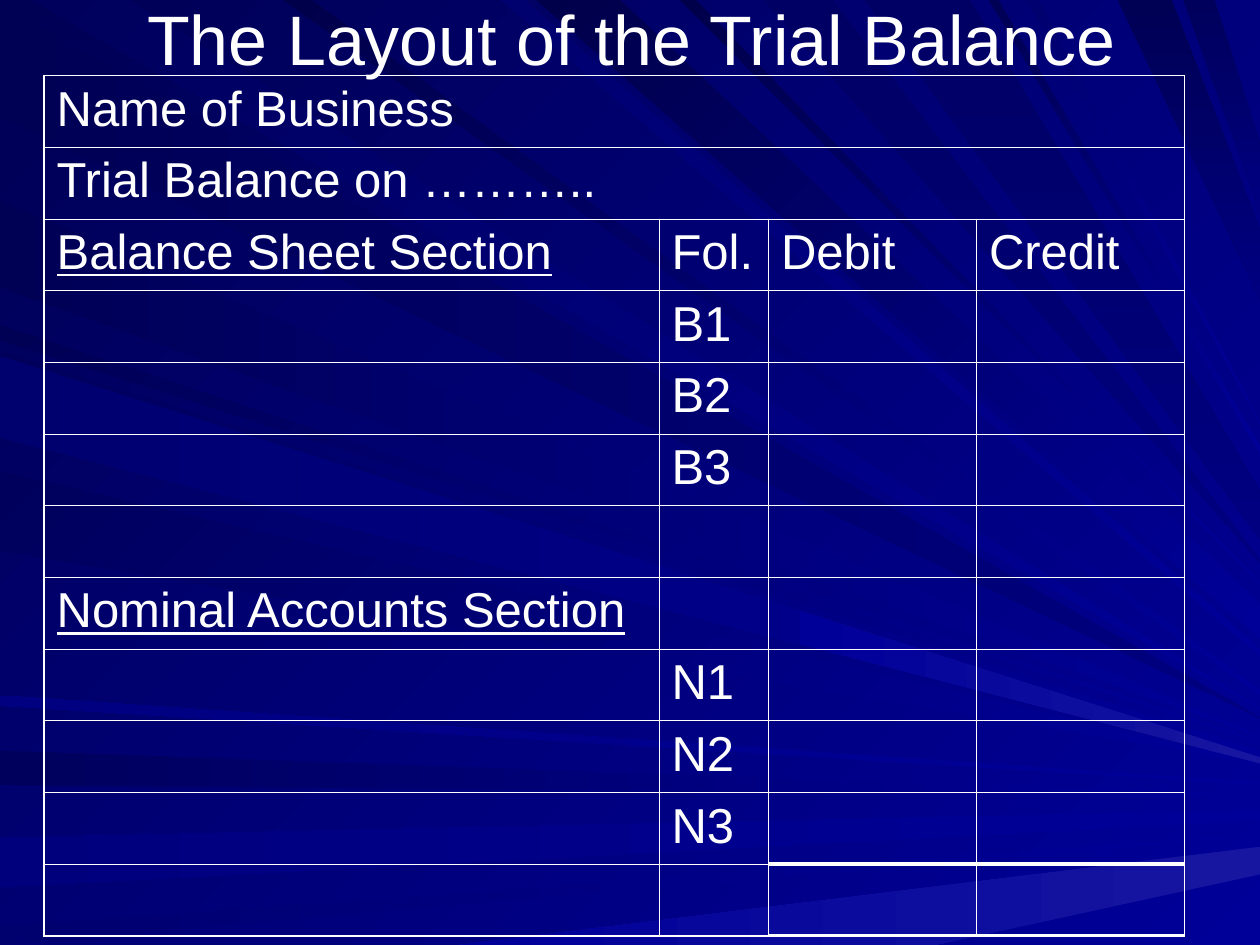
from lxml.etree import SubElement
from pptx import Presentation
from pptx.dml.color import RGBColor
from pptx.enum.text import MSO_ANCHOR, PP_ALIGN
from pptx.oxml.ns import qn
from pptx.util import Inches, Pt

FONT = "Arial"
COLORS = {
    "white": "FFFFFF", "royal": "000099", "navy": "000080", "glow": "1616A1",
    "black": "00004A", "midnight": "000055", "deep": "00005C",
    "dusk": "000064", "indigo": "00006E", "soft": "00007C",
}
DOWN, SIDEWAYS, DIAGONAL = 90, 180, 225
WIDTH, HEIGHT, GLOW_START = 10, 7.5, 6.35
RAYS = [
    ("left", (0.02, 0.93), (5.69, 5.7), "navy", "midnight", SIDEWAYS),
    ("top", (0.26, 1.01), (5.62, 5.63), "royal", "deep", DIAGONAL),
    ("left", (5.96, 6.23), (6.31, 6.32), "royal", "deep", SIDEWAYS),
    ("left", (6.65, 7.04), (6.43, 6.51), "royal", "soft", SIDEWAYS),
    ("left", (7.35, 7.5), (6.62, 6.63), "royal", "indigo", SIDEWAYS),
    ("bottom", (3.64, 7.42), (6.72, 6.94), "glow", "royal", SIDEWAYS),
    ("left", (2.58, 2.7), (5.88, 5.89), "royal", "midnight", DIAGONAL),
    ("left", (1.59, 2.28), (5.84, 5.85), "royal", "midnight", SIDEWAYS),
    ("top", (3.98, 4.16), (5.15, 5.21), "royal", "indigo", DIAGONAL),
    ("top", (4.26, 4.92), (4.79, 5.07), "royal", "black", DIAGONAL),
    ("top", (5.4, 5.52), (4.62, 4.63), "royal", "black", DIAGONAL),
    ("top", (6.06, 6.61), (4.45, 4.46), "dusk", "navy", DOWN),
    ("top", (8.87, 9.3), (1.83, 2.37), "midnight", "navy", DOWN),
    ("top", (9.39, 9.64), (1.14, 1.67), "deep", "navy", DOWN),
    ("left", (2.78, 3.42), (5.96, 6.02), "royal", "deep", DIAGONAL),
    ("left", (3.74, 4.37), (6.05, 6.06), "royal", "deep", DIAGONAL),
    ("left", (5.52, 5.6), (6.21, 6.23), "royal", "navy", SIDEWAYS),
    ("top", (2.25, 2.47), (5.47, 5.52), "royal", "black", DIAGONAL),
    ("top", (6.86, 7.7), (3.9, 4.28), "dusk", "navy", DOWN),
    ("top", (7.85, 7.92), (3.54, 3.6), "royal", "midnight", DIAGONAL),
    ("top", (8.15, 8.24), (3.35, 3.36), "royal", "indigo", DIAGONAL),
    ("left", (2.83, 3.47), (6.01, 6.06), "royal", "indigo", SIDEWAYS),
    ("middle", (4.85, 5.11), (6.01, 6.06), "glow", "royal", SIDEWAYS),
]
LEDGER = [
    ["Name of Business"],
    ["Trial Balance on ……….."],
    ["Balance Sheet Section", "Fol.", "Debit", "Credit"],
    ["", "B1"], ["", "B2"], ["", "B3"],
    [],
    ["Nominal Accounts Section"],
    ["", "N1"], ["", "N2"], ["", "N3"],
    [],
]
COLUMN_WIDTHS = [4.88, 0.87, 1.65, 1.65]
HEADING_ROWS = 2
THIN, OUTER, TOTAL = 0.45, 1.08, 2.21


def rgb(name):
    """Return the palette colour with this name."""
    return RGBColor.from_string(COLORS[name])


def paint(fill, start, end, angle):
    """Fill with a two-colour gradient at a clockwise angle."""
    fill.gradient()
    fill.gradient_angle = 360 - angle
    for stop, name in zip(fill.gradient_stops, (start, end)):
        stop.color.rgb = rgb(name)


def style(paragraph, size):
    """Give a paragraph the slide's font in white."""
    font = paragraph.font
    font.name, font.size = FONT, Pt(size)
    font.color.rgb = rgb("white")


def ray_outline(origin, near, far):
    """Return the corners of a ray running from its origin to the right edge."""
    if origin in ("top", "bottom"):
        y = 0 if origin == "top" else HEIGHT
        start = [(x, y) for x in near]
    else:
        x = 0 if origin == "left" else GLOW_START
        start = [(x, y) for y in near]
    end = [(WIDTH, y) for y in far]
    return start + (end if origin == "top" else end[::-1])


def add_rays(slide, left, top):
    """Draw the light rays as one group behind everything else."""
    rays = slide.shapes.add_group_shape()
    slide.shapes._spTree.insert(2, rays._element)
    for origin, near, far, start, end, angle in RAYS:
        outline = ray_outline(origin, near, far)
        corners = [(left + Inches(x), top + Inches(y)) for x, y in outline]
        builder = rays.shapes.build_freeform(*corners[0], scale=1.0)
        builder.add_line_segments(corners[1:], close=True)
        ray = builder.convert_to_shape()
        ray.shadow.inherit = False
        ray.line.fill.background()
        paint(ray.fill, start, end, angle)


def add_title(slide, left, top, width, height):
    """Place and format the title."""
    title = slide.shapes.title
    title.left, title.top, title.width, title.height = left, top, width, height
    frame = title.text_frame
    frame.text = "The Layout of the Trial Balance"
    frame.vertical_anchor = MSO_ANCHOR.MIDDLE
    frame.paragraphs[0].alignment = PP_ALIGN.CENTER
    style(frame.paragraphs[0], 40)


def set_borders(cell, widths):
    """Draw the left, right, top and bottom borders of a cell."""
    properties = cell._tc.get_or_add_tcPr()
    for side, width in zip("LRTB", widths):
        line = SubElement(properties, qn(f"a:ln{side}"), w=str(Pt(width)))
        fill = SubElement(line, qn("a:solidFill"))
        SubElement(fill, qn("a:srgbClr"), val=COLORS["white"])


def border_widths(row, column):
    """Return left, right, top and bottom widths, with heavy lines round the totals."""
    last_row, last_column = len(LEDGER) - 1, len(COLUMN_WIDTHS) - 1
    money = column >= 2
    spans = row < HEADING_ROWS
    left = OUTER if column == 0 or spans else THIN
    right = OUTER if column == last_column or spans else THIN
    top = OUTER if row == 0 else TOTAL if money and row == last_row else THIN
    bottom = OUTER if row == last_row else THIN
    if money and row >= last_row - 1:
        bottom = TOTAL
    return left, right, top, bottom


def add_ledger(slide, left, top, width, height):
    """Add the trial balance table."""
    count = len(COLUMN_WIDTHS)
    table = slide.shapes.add_table(len(LEDGER), count, left, top, width, height).table
    table.first_row = table.horz_banding = False
    for column, inches in zip(table.columns, COLUMN_WIDTHS):
        column.width = Inches(inches)
    for row, entries in enumerate(LEDGER):
        for column in range(count):
            cell = table.cell(row, column)
            set_borders(cell, border_widths(row, column))
            cell.fill.background()
            entry = entries[column] if column < len(entries) else ""
            if entry:
                cell.text = entry
                paragraph = cell.text_frame.paragraphs[0]
                style(paragraph, 28)
                if entry.endswith("Section"):
                    paragraph.font.underline = True
        if row < HEADING_ROWS:
            table.cell(row, 0).merge(table.cell(row, count - 1))


def main():
    """Build and save the slide."""
    deck = Presentation()
    deck.slide_width, deck.slide_height = Inches(WIDTH), Inches(HEIGHT)
    slide = deck.slides.add_slide(deck.slide_layouts[5])
    paint(slide.background.fill, "royal", "midnight", DIAGONAL)
    add_rays(slide, 0, 0)
    add_title(slide, Inches(0.51), 0, Inches(9), Inches(0.6))
    add_ledger(slide, Inches(0.35), Inches(0.6), Inches(9.05), Inches(6.83))
    deck.save("out.pptx")


if __name__ == "__main__":
    main()
